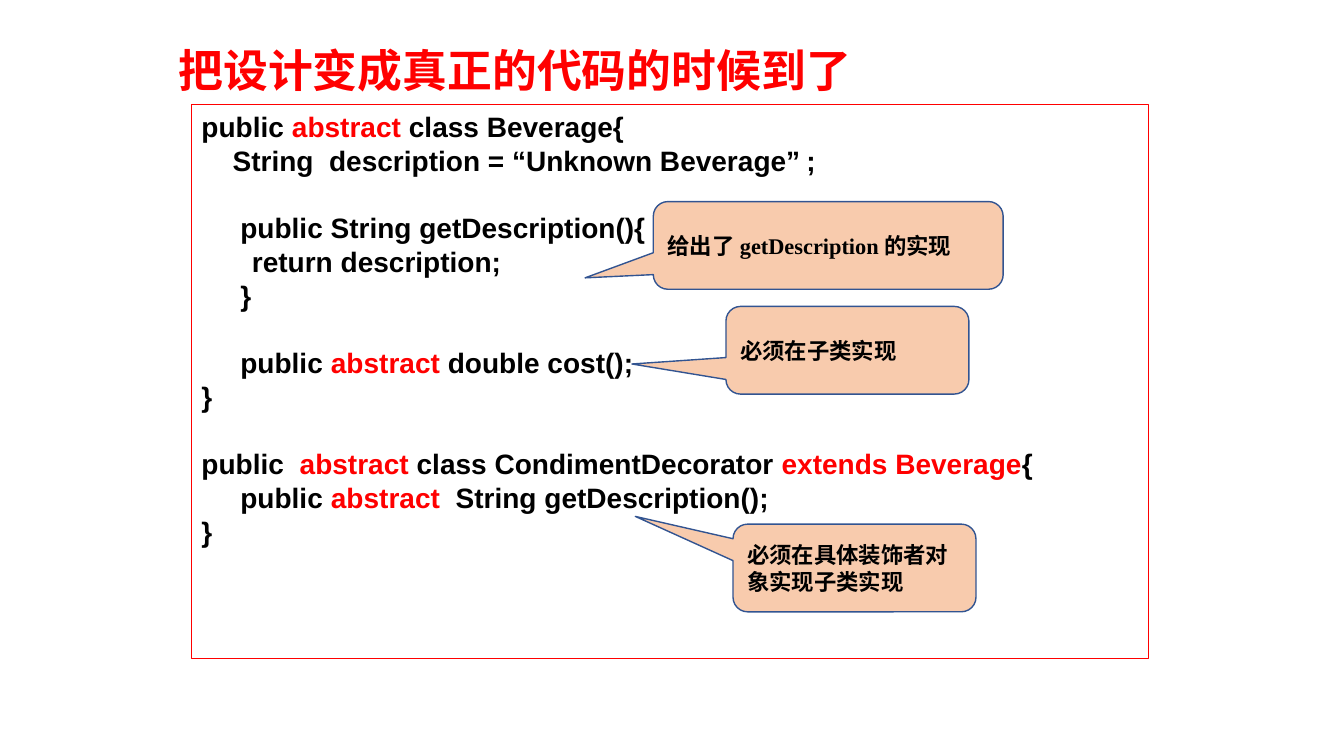
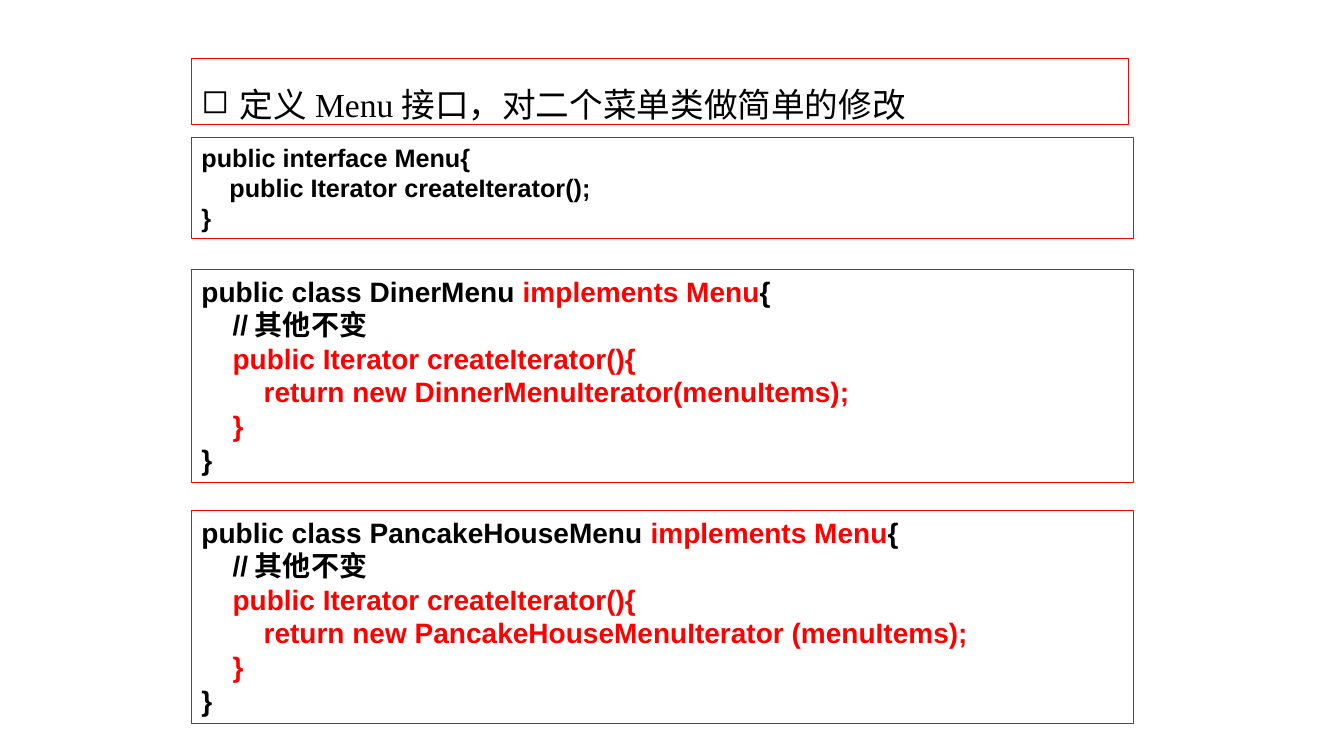
from lxml import etree
from pptx import Presentation
from pptx.dml.color import RGBColor
from pptx.enum import shapes, text
from pptx.oxml import ns
from pptx.util import Inches, Pt

RED = RGBColor(0xFF, 0x00, 0x00)
BLACK = RGBColor(0x00, 0x00, 0x00)
WHITE = RGBColor(0xFF, 0xFF, 0xFF)
PEACH = RGBColor(0xF8, 0xCB, 0xAD)
BLUE = RGBColor(0x32, 0x54, 0x91)

CJK_FONT = "Noto Sans CJK SC"
CODE_FONT = "Arial"
NOTE_FONT = "Times New Roman"
LEFT = 1.9
CODE_WIDTH = 9.34
LINE_RATIO = 1.21
TITLE_ONLY, BLANK = 5, 6

BEVERAGE_CODE = """public |abstract| class Beverage{
    String  description = “Unknown Beverage”\t;

     public String getDescription(){
\treturn description;
     }

     public |abstract| double cost();
}

public  |abstract| class CondimentDecorator |extends Beverage|{
     public |abstract|  String getDescription();
}"""

MENU_CODE = """public interface Menu{
    public Iterator createIterator();
}"""

MENU_CLASS_CODE = """public class %s |implements Menu|{
    //其他不变
|    public Iterator createIterator(){|
|        return new %s(menuItems);|
|    }|
}"""

CALLOUTS = [
    ((6.48, 2, 3.47, 0.87), (-0.695, 0.37), "给出了getDescription的实现"),
    ((7.2, 3.04, 2.41, 0.87), (-0.887, 0.157), "必须在子类实现"),
    ((7.27, 5.2, 2.41, 0.87), (-0.902, -0.588), "必须在具体装饰者对象实现子类实现"),
]

MENU_CLASSES = [
    ("DinerMenu", "DinnerMenuIterator"),
    ("PancakeHouseMenu", "PancakeHouseMenuIterator "),
]


def style_run(run, font, size, color=BLACK, bold=True):
    """Set the Latin and East Asian typefaces, size, colour and weight."""
    run.font.name = font
    run.font.size = Pt(size)
    run.font.bold = bold
    run.font.color.rgb = color
    east_asian = etree.SubElement(run.font._element, ns.qn("a:ea"))
    east_asian.set("typeface", CJK_FONT)


def add_panel(slide, kind, box, fill, line, width, anchor):
    """Add a flat outlined shape ready for left-aligned text."""
    panel = slide.shapes.add_shape(kind, *map(Inches, box))
    panel.shadow.inherit = False
    panel.fill.solid()
    panel.fill.fore_color.rgb = fill
    panel.line.color.rgb = line
    panel.line.width = Pt(width)
    panel.text_frame.word_wrap = True
    panel.text_frame.vertical_anchor = anchor
    panel.text_frame.paragraphs[0].alignment = text.PP_ALIGN.LEFT
    return panel


def add_frame(slide, box):
    """Add a white box with a thin red border."""
    return add_panel(slide, shapes.MSO_SHAPE.RECTANGLE, box, WHITE, RED, 0.75,
                     text.MSO_ANCHOR.TOP)


def add_code(slide, box, code, size=20):
    """Add a code listing, with the parts between bars in red."""
    frame = add_frame(slide, box).text_frame
    gap = False
    for number, line in enumerate(code.split("\n")):
        if not line:
            gap = True
            continue
        paragraph = frame.add_paragraph() if number else frame.paragraphs[0]
        paragraph.alignment = text.PP_ALIGN.LEFT
        if gap:
            paragraph.space_before = Pt(round(size * LINE_RATIO, 1))
            gap = False
        for index, part in enumerate(line.split("|")):
            if part:
                run = paragraph.add_run()
                run.text = part
                style_run(run, CODE_FONT, size, RED if index % 2 else BLACK)


def add_callout(slide, box, tip, note):
    """Add a rounded speech callout whose tip is relative to its centre."""
    callout = add_panel(slide, shapes.MSO_SHAPE.ROUNDED_RECTANGULAR_CALLOUT,
                        box, PEACH, BLUE, 1, text.MSO_ANCHOR.MIDDLE)
    callout.adjustments[0], callout.adjustments[1] = tip
    paragraph = callout.text_frame.paragraphs[0]
    paragraph.text = note
    style_run(paragraph.runs[0], NOTE_FONT, 16)


def add_title(slide, box, heading):
    """Place the title placeholder and format its text."""
    title = slide.shapes.title
    title.left, title.top, title.width, title.height = map(Inches, box)
    frame = title.text_frame
    frame.text = heading
    frame.word_wrap = True
    frame.auto_size = text.MSO_AUTO_SIZE.NONE
    frame.vertical_anchor = text.MSO_ANCHOR.TOP
    frame.paragraphs[0].alignment = text.PP_ALIGN.LEFT
    style_run(frame.paragraphs[0].runs[0], CJK_FONT, 32, RED)


def add_bullet_heading(slide, box, heading):
    """Add a framed heading with a square bullet."""
    paragraph = add_frame(slide, box).text_frame.paragraphs[0]
    paragraph.text = heading
    properties = paragraph._p.get_or_add_pPr()
    properties.set("marL", str(Inches(0.38)))
    properties.set("indent", str(-Inches(0.38)))
    bullet = etree.SubElement(properties, ns.qn("a:buChar"))
    bullet.set("char", "◻")
    paragraph.line_spacing = 1.5
    style_run(paragraph.runs[0], NOTE_FONT, 24, bold=False)


def build_beverage_slide(deck):
    """Show the abstract beverage classes with explanatory callouts."""
    slide = deck.slides.add_slide(deck.slide_layouts[TITLE_ONLY])
    add_title(slide, (1.67, 0.37, 8.39, 0.64), "把设计变成真正的代码的时候到了")
    add_code(slide, (LEFT, 1.04, 9.49, 5.49), BEVERAGE_CODE)
    for box, tip, note in CALLOUTS:
        add_callout(slide, box, tip, note)


def build_menu_slide(deck):
    """Show the menu interface and the two classes that implement it."""
    slide = deck.slides.add_slide(deck.slide_layouts[BLANK])
    add_bullet_heading(slide, (LEFT, 0.58, 9.29, 0.66),
                       "定义Menu接口，对二个菜单类做简单的修改")
    add_code(slide, (LEFT, 1.36, CODE_WIDTH, 1.01), MENU_CODE, 18)
    for row, names in enumerate(MENU_CLASSES):
        add_code(slide, (LEFT, 2.67 + 2.39 * row, CODE_WIDTH, 2.12),
                 MENU_CLASS_CODE % names)


def main():
    """Build and save the deck."""
    deck = Presentation()
    deck.slide_width, deck.slide_height = Inches(13.33), Inches(7.5)
    build_beverage_slide(deck)
    build_menu_slide(deck)
    deck.save("out.pptx")


if __name__ == "__main__":
    main()
